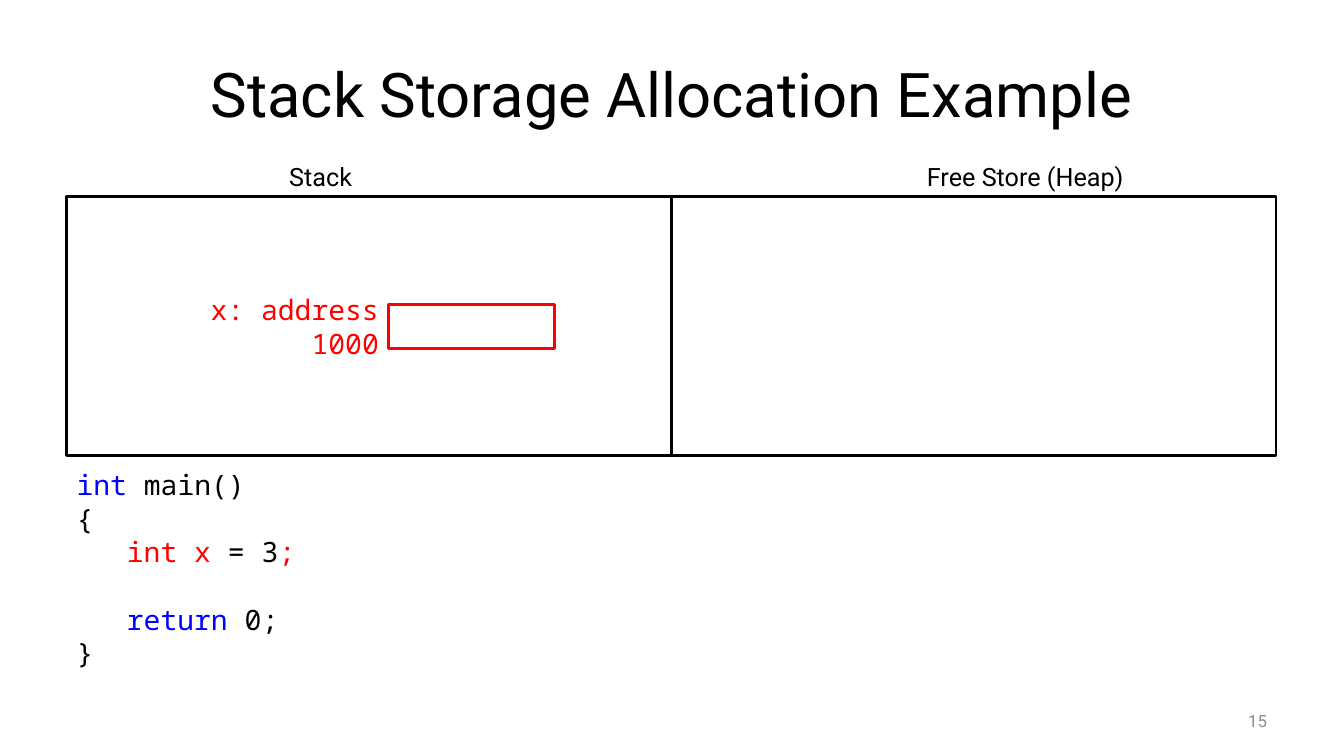
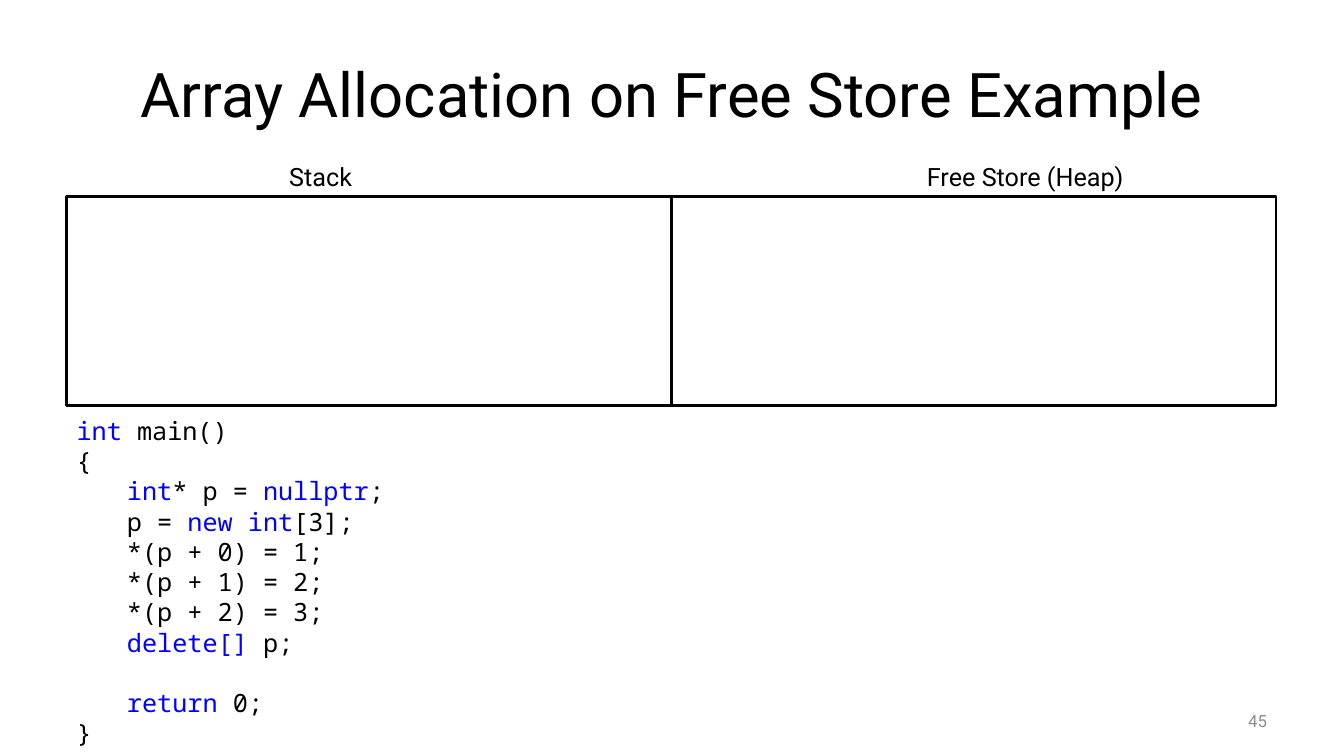
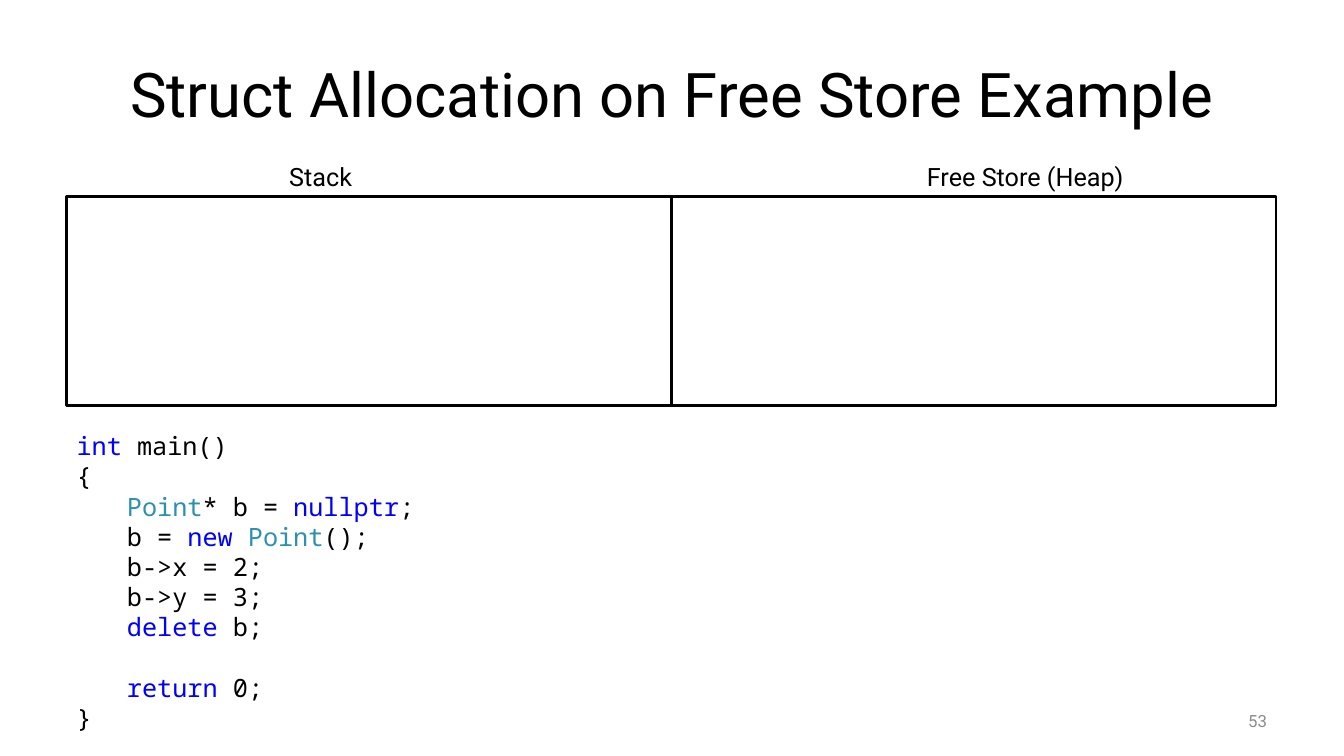
import pptx
import pptx.dml.color
import pptx.enum.shapes
import pptx.enum.text
import pptx.util

Cm = pptx.util.Cm
Pt = pptx.util.Pt
RGB = pptx.dml.color.RGBColor
ALIGN = pptx.enum.text.PP_ALIGN
ANCHOR = pptx.enum.text.MSO_ANCHOR

# Shared style
BLACK = RGB(0x00, 0x00, 0x00)
WHITE = RGB(0xFF, 0xFF, 0xFF)
GREY = RGB(0x8C, 0x8C, 0x8C)
RED = RGB(0xFF, 0x00, 0x00)
BLUE = RGB(0x00, 0x00, 0xFF)
TEAL = RGB(0x2B, 0x91, 0xAF)
SANS, MONO = "Roboto", "Noto Sans Mono"
LINE_HEIGHT = 1.2

# Shared geometry in centimetres
LEFT, PANEL_TOP, PANEL_WIDTH = 1.68, 4.95, 15.24
HEADINGS = [("Stack", 7.04, 3.07), ("Free Store (Heap)", 23.11, 6.3)]

# Code: each line is a list of (text, colour) spans
OPENING = [[("int ", BLUE), ("main()", BLACK)], [("{", BLACK)]]
CLOSING = [[("return", BLUE), (" 0;", BLACK)], [("}", BLACK)]]

SLIDES = [
    {
        "title": "Stack Storage Allocation Example", "number": "15",
        "panel_height": 6.53, "code_top": 11.66, "code_size": 20,
        "body": [[("int x", RED), (" = 3", BLACK), (";", RED)]],
        "variable": "x: address 1000",
    },
    {
        "title": "Array Allocation on Free Store Example", "number": "45",
        "panel_height": 5.26, "code_top": 10.34, "code_size": 18,
        "body": [
            [("int", BLUE), ("* p = ", BLACK), ("nullptr", BLUE), (";", BLACK)],
            [("p = ", BLACK), ("new int", BLUE), ("[3];", BLACK)],
            [("*(p + 0) = 1;", BLACK)],
            [("*(p + 1) = 2;", BLACK)],
            [("*(p + 2) = 3;", BLACK)],
            [("delete[]", BLUE), (" p;", BLACK)],
        ],
    },
    {
        "title": "Struct Allocation on Free Store Example", "number": "53",
        "panel_height": 5.26, "code_top": 10.72, "code_size": 18,
        "body": [
            [("Point", TEAL), ("* b = ", BLACK), ("nullptr", BLUE), (";", BLACK)],
            [("b = ", BLACK), ("new ", BLUE), ("Point", TEAL), ("();", BLACK)],
            [("b->x = 2;", BLACK)],
            [("b->y = 3;", BLACK)],
            [("delete", BLUE), (" b;", BLACK)],
        ],
    },
]


def style(font, size, color, name=SANS):
    font.name, font.size, font.color.rgb = name, Pt(size), color


def add_text_box(page, left, top, width, height):
    box = page.shapes.add_textbox(Cm(left), Cm(top), Cm(width), Cm(height))
    box.text_frame.word_wrap = True
    return box.text_frame


def add_label(page, text, place, size, color, name=SANS,
              align=ALIGN.LEFT, anchor=ANCHOR.TOP):
    frame = add_text_box(page, *place)
    frame.text = text
    frame.vertical_anchor = anchor
    para = frame.paragraphs[0]
    para.alignment = align
    style(para.runs[0].font, size, color, name)
    return para


def add_frame(page, left, top, width, height, color):
    box = page.shapes.add_shape(pptx.enum.shapes.MSO_SHAPE.RECTANGLE,
                                Cm(left), Cm(top), Cm(width), Cm(height))
    box.shadow.inherit = False
    box.fill.solid()
    box.fill.fore_color.rgb = WHITE
    box.line.color.rgb = color
    box.line.width = Pt(2)


def add_title(page, text):
    title = page.shapes.title
    title.left, title.top = Cm(1.7), Cm(0.76)
    title.width, title.height = Cm(30.48), Cm(3.18)
    frame = title.text_frame
    frame.text = text
    frame.word_wrap = True
    frame.auto_size = pptx.enum.text.MSO_AUTO_SIZE.NONE
    frame.vertical_anchor = ANCHOR.MIDDLE
    frame.paragraphs[0].alignment = ALIGN.CENTER
    style(frame.paragraphs[0].runs[0].font, 44, BLACK)


def add_code(page, body, top, size):
    lines = OPENING + body + CLOSING
    pitch = size * LINE_HEIGHT
    height = Pt(pitch * (len(lines) + 1)).cm + 0.25
    frame = add_text_box(page, LEFT, top, 2 * PANEL_WIDTH, height)
    for index, spans in enumerate(lines):
        para = frame.paragraphs[0] if index == 0 else frame.add_paragraph()
        para.line_spacing = Pt(pitch)
        if len(OPENING) <= index < len(lines) - 1:
            para.level = 1
            para._p.get_or_add_pPr().set("marL", str(Cm(1.27)))
        if index == len(lines) - len(CLOSING):
            para.space_before = Pt(pitch)
        for text, color in spans:
            span = para.add_run()
            span.text = text
            style(span.font, size, color, MONO)


def add_variable(page, text):
    top, height, size = 7.67, 1.12, 20
    add_frame(page, 9.8, top, 4.17, height, RED)
    para = add_label(page, text, (3.25, top, 6.55, height), size, RED, MONO,
                     ALIGN.RIGHT, ANCHOR.MIDDLE)
    para.line_spacing = Pt(size * LINE_HEIGHT)


def build_page(deck, content):
    page = deck.slides.add_slide(deck.slide_layouts[5])
    add_title(page, content["title"])
    add_label(page, content["number"], (24.28, 17.65, 7.9, 1.02), 12, GREY,
              align=ALIGN.RIGHT, anchor=ANCHOR.MIDDLE)
    # Memory panels with their headings
    for column, (heading, left, width) in enumerate(HEADINGS):
        add_frame(page, LEFT + column * PANEL_WIDTH, PANEL_TOP,
                  PANEL_WIDTH, content["panel_height"], BLACK)
        add_label(page, heading, (left, 3.94, width, 1.02), 18, BLACK)
    if "variable" in content:
        add_variable(page, content["variable"])
    add_code(page, content["body"], content["code_top"], content["code_size"])


def main():
    deck = pptx.Presentation()
    deck.slide_width, deck.slide_height = Cm(33.87), Cm(19.05)
    for content in SLIDES:
        build_page(deck, content)
    deck.save("out.pptx")


if __name__ == "__main__":
    main()
